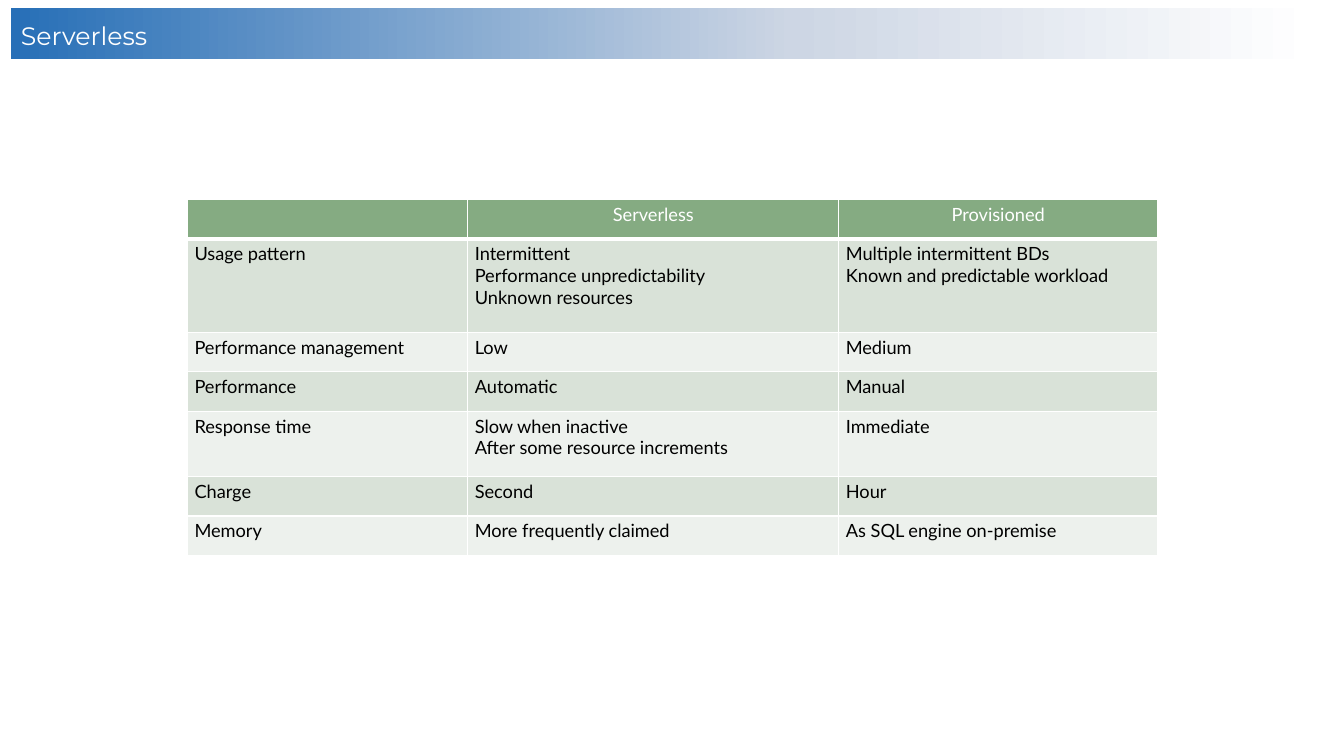
from dataclasses import dataclass

from lxml import etree
from pptx import Presentation
from pptx import util as u
from pptx.dml.color import RGBColor
from pptx.enum import shapes, text
from pptx.oxml.ns import qn


@dataclass(frozen=True)
class Theme:
    """Colours, fonts and type sizes of the slide."""
    white: str = "FFFFFF"
    black: str = "000000"
    header: str = "85AB82"
    bands: tuple = ("D9E2D8", "EDF1ED")
    banner: tuple = ((0, "FFFFFF"), (40, "CDD6E4"), (100, "276FB7"))
    title_font: str = "Montserrat"
    table_font: str = "Lato"
    title_size: int = 18
    table_size: int = 13


T = Theme()
COLS = (2.78, 3.68, 3.16)
ROW_HEIGHTS = (0.39, 0.93, 0.39, 0.39, 0.65, 0.39, 0.39)
ROWS = (
    ("", "Serverless", "Provisioned"),
    ("Usage pattern",
     "Intermittent\nPerformance unpredictability\nUnknown resources",
     "Multiple intermittent BDs\nKnown and predictable workload"),
    ("Performance management", "Low", "Medium"),
    ("Performance", "Automatic", "Manual"),
    ("Response time", "Slow when inactive\nAfter some resource increments", "Immediate"),
    ("Charge", "Second", "Hour"),
    ("Memory", "More frequently claimed", "As SQL engine on-premise"),
)


def set_attrs(obj, values):
    """Set each named attribute on an object."""
    for name, value in values.items():
        setattr(obj, name, value)


def write(tf, content, font, size, color, align=None):
    """Write one formatted paragraph, with newlines as line breaks."""
    p = tf.paragraphs[0]
    p.text = content
    p.alignment = align
    for r in p.runs:
        set_attrs(r.font, {"name": font, "size": u.Pt(size)})
        r.font.color.rgb = RGBColor.from_string(color)


def add_banner(s, box):
    """Add the rectangle that fades to white on the right."""
    sp = s.shapes.add_shape(shapes.MSO_SHAPE.RECTANGLE, *map(u.Inches, box))
    sp.shadow.inherit = False
    sp.line.fill.background()
    sp.fill.gradient()
    sp.fill.gradient_angle = 180
    stops = next(sp._element.iter(qn("a:gsLst")))
    for stop in list(stops):
        stops.remove(stop)
    for pos, color in T.banner:
        stop = etree.SubElement(stops, qn("a:gs"), pos=str(pos * 1000))
        etree.SubElement(stop, qn("a:srgbClr"), val=color)


def add_title(s, box, content):
    """Add the unwrapped slide title."""
    tf = s.shapes.add_textbox(*map(u.Inches, box)).text_frame
    set_attrs(tf, {"word_wrap": False, "auto_size": text.MSO_AUTO_SIZE.SHAPE_TO_FIT_TEXT})
    write(tf, content, T.title_font, T.title_size, T.white)


def set_borders(cell, widths):
    """Draw white borders of the given point widths by side."""
    tcPr = cell._tc.get_or_add_tcPr()
    for i, (side, width) in enumerate(widths.items()):
        ln = etree.Element(qn(f"a:ln{side}"), w=str(u.Pt(width)))
        fill = etree.SubElement(ln, qn("a:solidFill"))
        etree.SubElement(fill, qn("a:srgbClr"), val=T.white)
        tcPr.insert(i, ln)


def format_cell(cell, content, row):
    """Fill one cell as a header or as a banded body cell."""
    header = row == 0
    margin_x, margin_y = u.Inches(0.07), u.Inches(0.04)
    set_attrs(cell, {"margin_left": margin_x, "margin_right": margin_x,
                     "margin_top": margin_y, "margin_bottom": margin_y})
    cell.fill.solid()
    cell.fill.fore_color.rgb = RGBColor.from_string(
        T.header if header else T.bands[(row - 1) % 2])
    write(cell.text_frame, content, T.table_font, T.table_size,
          T.white if header else T.black,
          text.PP_ALIGN.CENTER if header else None)
    set_borders(cell, {"L": 1, "R": 1, "T": 3 if row == 1 else 1, "B": 3 if header else 1})


def add_comparison(s, left, top):
    """Add the table comparing the two compute models."""
    table = s.shapes.add_table(
        len(ROWS), len(COLS), u.Inches(left), u.Inches(top),
        u.Inches(sum(COLS)), u.Inches(sum(ROW_HEIGHTS))).table
    for column, width in zip(table.columns, COLS):
        column.width = u.Inches(width)
    for i, (row, height) in enumerate(zip(table.rows, ROW_HEIGHTS)):
        row.height = u.Inches(height)
        for cell, content in zip(row.cells, ROWS[i]):
            format_cell(cell, content, i)


def main():
    """Build and save the slide."""
    prs = Presentation()
    set_attrs(prs, {"slide_width": u.Inches(13.33), "slide_height": u.Inches(7.5)})
    s = prs.slides.add_slide(prs.slide_layouts[6])
    add_banner(s, (0.11, 0.08, 12.93, 0.51))
    add_title(s, (0.11, 0.15, 1.68, 0.4), "Serverless")
    add_comparison(s, 1.86, 1.98)
    prs.save("out.pptx")


if __name__ == "__main__":
    main()
